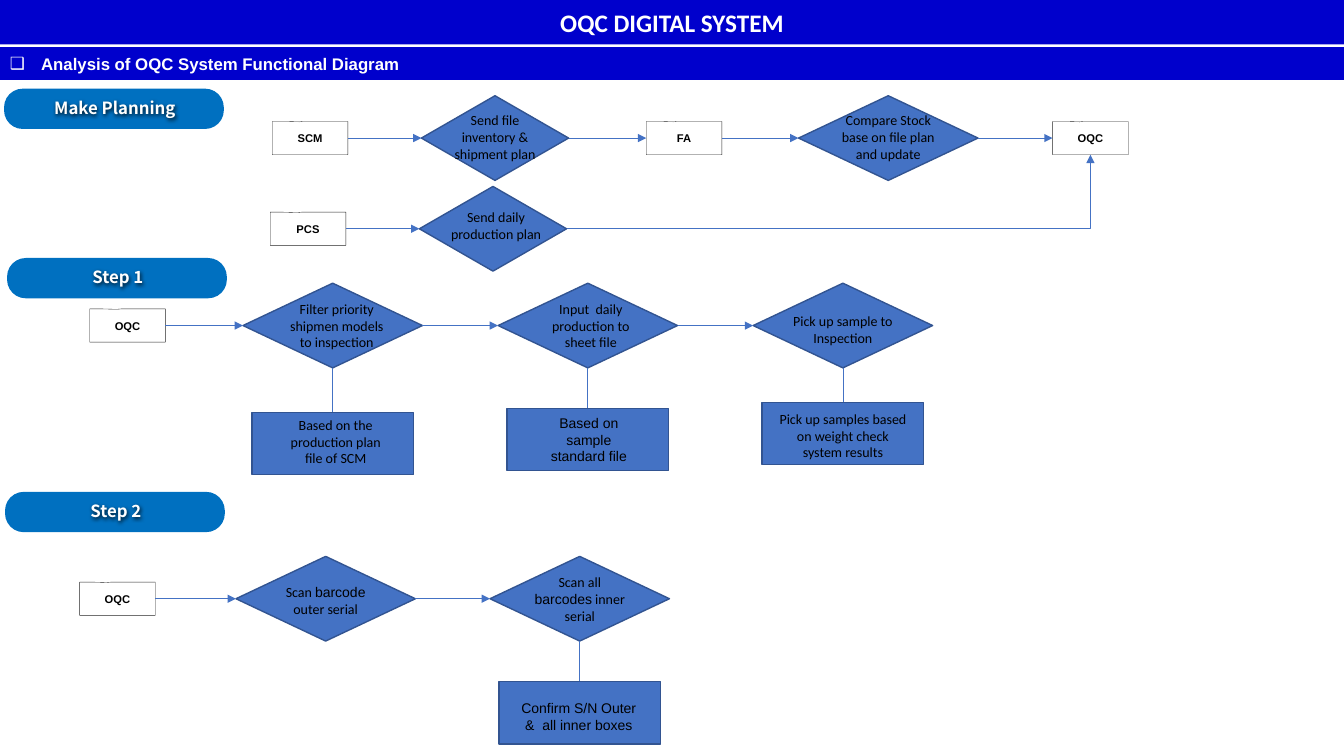
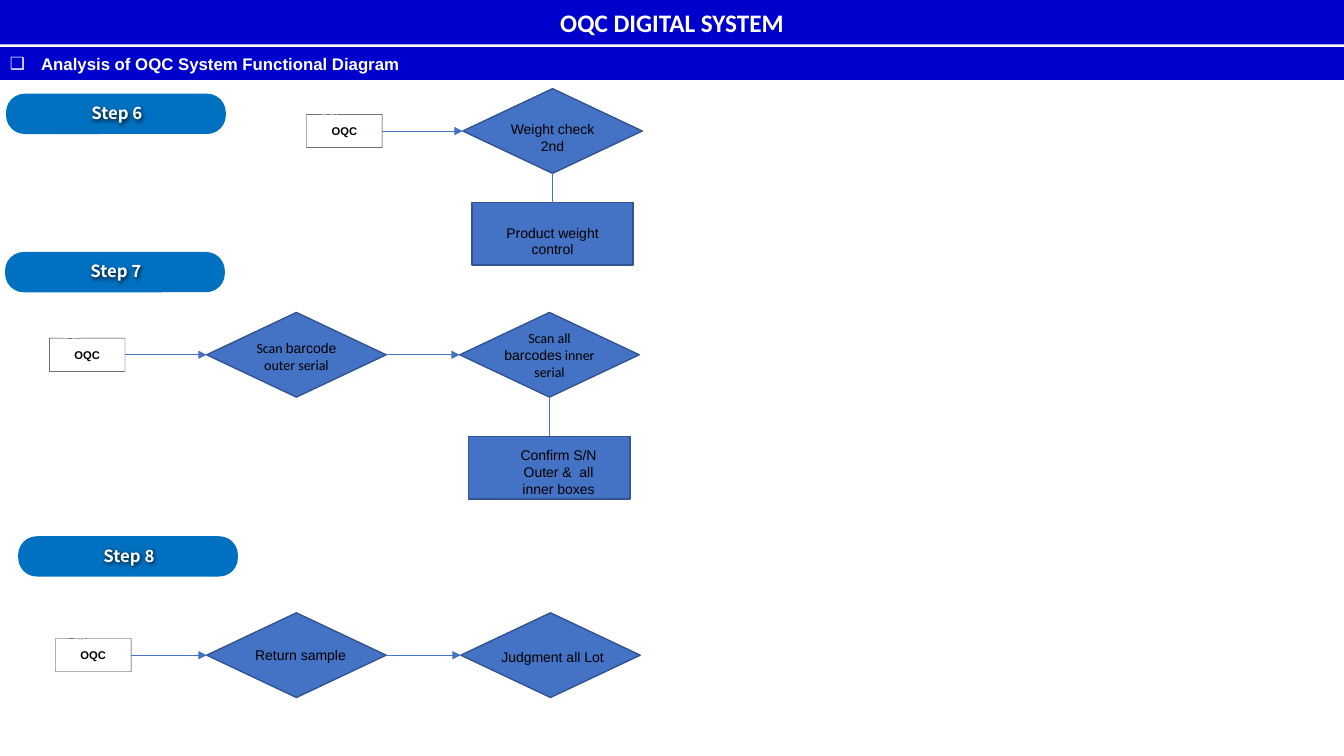
from dataclasses import dataclass
from itertools import pairwise

from lxml.etree import SubElement
from pptx import Presentation
from pptx.dml.color import RGBColor
from pptx.enum.shapes import MSO_CONNECTOR, MSO_SHAPE
from pptx.enum.text import MSO_ANCHOR, PP_ALIGN
from pptx.oxml.ns import qn
from pptx.util import Inches, Pt

BAND_BLUE = RGBColor(0x00, 0x00, 0xCC)
PILL_BLUE = RGBColor(0x00, 0x70, 0xC0)
STEP_BLUE = RGBColor(0x44, 0x72, 0xC4)
STEP_EDGE = RGBColor(0x32, 0x54, 0x91)
STATION_EDGE = RGBColor(0x26, 0x26, 0x26)
WHITE = RGBColor(0xFF, 0xFF, 0xFF)
BLACK = RGBColor(0x00, 0x00, 0x00)

TITLE_FONT = {"name": "Calibri", "size": Pt(18), "bold": True, "color": WHITE}
SUBTITLE_FONT = {"name": "Arial", "size": Pt(12), "bold": True, "color": WHITE}
PILL_FONT = {"name": "Noto Sans CJK JP", "size": Pt(12), "bold": True, "color": WHITE}
STATION_FONT = {"name": "Arial", "size": Pt(8), "bold": True, "color": BLACK}
LABEL_FONT = {"size": Pt(10), "bold": False, "color": BLACK}

SLIDE_WIDTH, SLIDE_HEIGHT = 13.33, 7.5
STATION_WIDTH, STATION_HEIGHT = 0.75, 0.33
STEP_HEIGHT = 0.84
NOTE_WIDTH, NOTE_HEIGHT = 1.6, 0.62
LABEL_WIDTH, LABEL_HEIGHT = 1.23, 0.47
TOP, LEFT, BOTTOM, RIGHT = range(4)


@dataclass
class Label:
    """Text over a node; dx and dy shift it from the node's centre."""
    runs: list
    dx: float = 0
    dy: float = 0
    width: float = LABEL_WIDTH


@dataclass
class Station:
    left: float
    name: str


@dataclass
class Note:
    top: float
    label: Label


@dataclass
class Step:
    left: float
    label: Label
    note: Note | None = None
    width: float = 1.78


def calibri(text, **place):
    return Label([(text, "Calibri")], **place)


def arial(text, **place):
    return Label([(text, "Arial")], **place)


SCAN_OUTER = Label([("Scan ", "Calibri"), ("barcode", "Arial"), (" outer serial", "Calibri")], dy=0.02)
SCAN_INNER = Label([("Scan all ", "Calibri"), ("barcodes", "Arial"), (" inner serial", "Calibri")], width=1.15)
CONFIRM = "Confirm S/N Outer &  all inner boxes"


def format_font(font, values):
    for key, value in values.items():
        if key == "color":
            font.color.rgb = value
        else:
            setattr(font, key, value)


def write_text(shape, runs, align=PP_ALIGN.CENTER):
    """Fill a shape with one paragraph of (text, font values) runs."""
    frame = shape.text_frame
    frame.word_wrap = True
    frame.vertical_anchor = MSO_ANCHOR.MIDDLE
    paragraph = frame.paragraphs[0]
    paragraph.alignment = align
    for text, values in runs:
        run = paragraph.add_run()
        run.text = text
        format_font(run.font, values)
    return paragraph


def add_box(shapes, kind, place, fill, edge=None, edge_width=1):
    box = shapes.add_shape(kind, *map(Inches, place))
    box.shadow.inherit = False
    box.fill.solid()
    box.fill.fore_color.rgb = fill
    if edge is None:
        box.line.fill.background()
    else:
        box.line.color.rgb = edge
        box.line.width = Pt(edge_width)
    return box


def add_header(slide):
    title = slide.shapes.title
    title.left, title.top, title.width, title.height = map(Inches, (0, 0, SLIDE_WIDTH, 0.44))
    title.fill.solid()
    title.fill.fore_color.rgb = BAND_BLUE
    write_text(title, [("OQC DIGITAL SYSTEM", TITLE_FONT)])

    band = add_box(slide.shapes, MSO_SHAPE.RECTANGLE, (0, 0.47, SLIDE_WIDTH, 0.32), BAND_BLUE, BAND_BLUE)
    subtitle = write_text(band, [("Analysis of OQC System Functional Diagram", SUBTITLE_FONT)], PP_ALIGN.LEFT)
    properties = subtitle._p.get_or_add_pPr()
    properties.set("marL", str(Inches(0.31)))
    properties.set("indent", str(Inches(-0.31)))
    SubElement(properties, qn("a:buFont"), typeface="Arial")
    SubElement(properties, qn("a:buChar"), char="❑")


def add_pill(slide, left, top, name):
    """Draw a section heading: a rounded pill under text with a soft shadow."""
    heading = slide.shapes.add_group_shape()
    pill = add_box(heading.shapes, MSO_SHAPE.ROUNDED_RECTANGLE, (left, top, 2.18, 0.4), PILL_BLUE)
    pill.adjustments[0] = 0.464
    caption = heading.shapes.add_textbox(*map(Inches, (left + 0.13, top - 0.01, 1.94, 0.4)))
    write_text(caption, [(name, PILL_FONT)])
    effects = SubElement(caption.element.spPr, qn("a:effectLst"))
    shadow = SubElement(effects, qn("a:outerShdw"), blurRad="38100", dist="12700", dir="2700000")
    color = SubElement(shadow, qn("a:srgbClr"), val=str(BLACK))
    SubElement(color, qn("a:alpha"), val="80000")


def add_label(slide, center_x, center_y, label):
    left = center_x + label.dx - label.width / 2
    top = center_y + label.dy - LABEL_HEIGHT / 2
    caption = slide.shapes.add_textbox(*map(Inches, (left, top, label.width, LABEL_HEIGHT)))
    write_text(caption, [(text, {"name": font, **LABEL_FONT}) for text, font in label.runs])


def join(slide, start, start_side, end, end_side, arrow=True, kind=MSO_CONNECTOR.STRAIGHT):
    link = slide.shapes.add_connector(kind, 0, 0, 0, 0)
    link.begin_connect(start, start_side)
    link.end_connect(end, end_side)
    link.line.color.rgb = STEP_BLUE
    link.line.width = Pt(0.5)
    properties = link.element.spPr
    if arrow:
        SubElement(properties.find(qn("a:ln")), qn("a:tailEnd"), type="triangle")
    SubElement(properties, qn("a:effectLst"))
    return link


def add_station(slide, station, center_y):
    place = (station.left, center_y - STATION_HEIGHT / 2, STATION_WIDTH, STATION_HEIGHT)
    box = add_box(slide.shapes, MSO_SHAPE.RECTANGULAR_CALLOUT, place, WHITE, STATION_EDGE, 0.25)
    box.adjustments[0], box.adjustments[1] = -0.143, -0.487
    write_text(box, [(station.name, STATION_FONT)])
    return box


def add_step(slide, step, center_y):
    """Draw a decision and, centred under it, its note."""
    place = (step.left, center_y - STEP_HEIGHT / 2, step.width, STEP_HEIGHT)
    decision = add_box(slide.shapes, MSO_SHAPE.FLOWCHART_DECISION, place, STEP_BLUE, STEP_EDGE)
    center_x = step.left + step.width / 2
    add_label(slide, center_x, center_y, step.label)
    if step.note:
        place = (center_x - NOTE_WIDTH / 2, step.note.top, NOTE_WIDTH, NOTE_HEIGHT)
        note = add_box(slide.shapes, MSO_SHAPE.RECTANGLE, place, STEP_BLUE, STEP_EDGE)
        add_label(slide, center_x, step.note.top + NOTE_HEIGHT / 2, step.note.label)
        join(slide, decision, BOTTOM, note, TOP, arrow=False)
    return decision


def add_flow(slide, center_y, *nodes):
    """Draw stations and steps on one line, joined by arrows."""
    drawn = [
        (add_station if isinstance(node, Station) else add_step)(slide, node, center_y)
        for node in nodes
    ]
    for start, end in pairwise(drawn):
        join(slide, start, RIGHT, end, LEFT)
    return drawn


def build_planning_slide(slide):
    add_pill(slide, 0.04, 0.88, "Make Planning")
    stock_flow = add_flow(
        slide, 1.37,
        Station(2.7, "SCM"),
        Step(4.18, calibri("Send file inventory & shipment plan", dy=-0.01), width=1.46),
        Station(6.41, "FA"),
        Step(7.92, calibri("Compare Stock base on file plan and update", dy=-0.01)),
        Station(10.44, "OQC"),
    )
    daily_flow = add_flow(
        slide, 2.27,
        Station(2.68, "PCS"),
        Step(4.16, calibri("Send daily production plan", dx=0.03, dy=-0.03), width=1.46),
    )
    elbow = join(slide, daily_flow[-1], RIGHT, stock_flow[-1], BOTTOM, kind=MSO_CONNECTOR.ELBOW)
    elbow.element.spPr.find(qn("a:prstGeom")).set("prst", "bentConnector2")

    add_pill(slide, 0.07, 2.56, "Step 1")
    add_flow(
        slide, 3.23,
        Station(0.89, "OQC"),
        Step(2.41, calibri("Filter priority shipmen models to inspection", dx=0.04),
             Note(4.09, calibri("Based on the production plan file of SCM", dx=0.03, dy=-0.02))),
        Step(4.94, calibri("Input  daily production to sheet file", dx=0.03),
             Note(4.05, arial("Based on sample standard file", dx=0.01, width=1.04))),
        Step(7.47, calibri("Pick up sample to Inspection", dy=0.04),
             Note(3.99, calibri("Pick up samples based on weight check system results", dy=0.02, width=1.51))),
    )

    add_pill(slide, 0.05, 4.88, "Step 2")
    add_flow(
        slide, 5.94,
        Station(0.79, "OQC"),
        Step(2.34, SCAN_OUTER),
        Step(4.86, SCAN_INNER, Note(6.76, arial(CONFIRM, dx=-0.01, dy=0.04, width=1.42))),
    )


def build_checking_slide(slide):
    add_pill(slide, 0.06, 0.93, "Step 6")
    add_flow(
        slide, 1.3,
        Station(3.04, "OQC"),
        Step(4.59, arial("Weight check 2nd", dy=0.06),
             Note(2.01, arial("Product weight control", dy=0.07))),
    )

    add_pill(slide, 0.05, 2.5, "Step 7")
    add_flow(
        slide, 3.52,
        Station(0.49, "OQC"),
        Step(2.05, SCAN_OUTER),
        Step(4.56, SCAN_INNER, Note(4.33, arial(CONFIRM, dx=0.09, dy=0.04))),
    )

    add_pill(slide, 0.18, 5.32, "Step 8")
    add_flow(
        slide, 6.5,
        Station(0.55, "OQC"),
        Step(2.05, arial("Return sample", dx=0.04)),
        Step(4.57, arial("Judgment all Lot", dx=0.02, dy=0.02, width=1.3)),
    )


def main():
    presentation = Presentation()
    presentation.slide_width = Inches(SLIDE_WIDTH)
    presentation.slide_height = Inches(SLIDE_HEIGHT)
    title_only = presentation.slide_layouts[5]
    for build in (build_planning_slide, build_checking_slide):
        slide = presentation.slides.add_slide(title_only)
        add_header(slide)
        build(slide)
    presentation.save("out.pptx")


if __name__ == "__main__":
    main()
